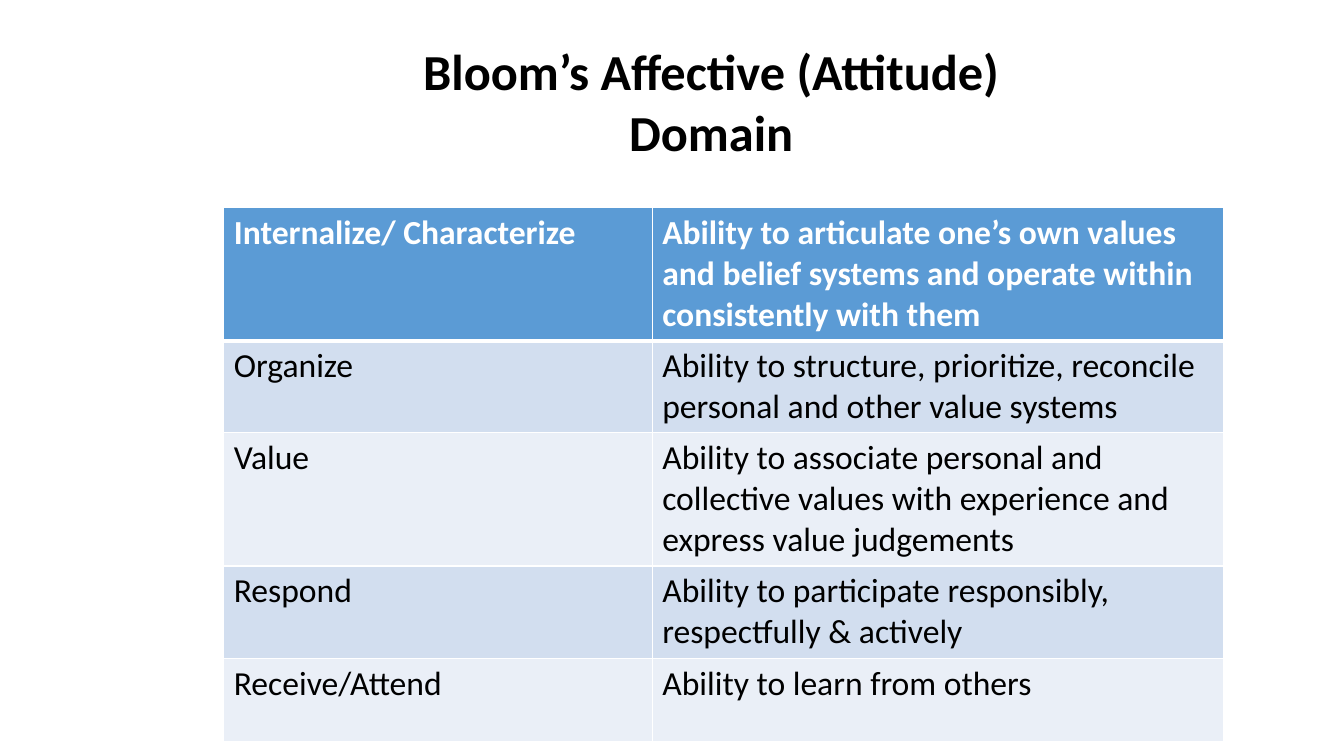
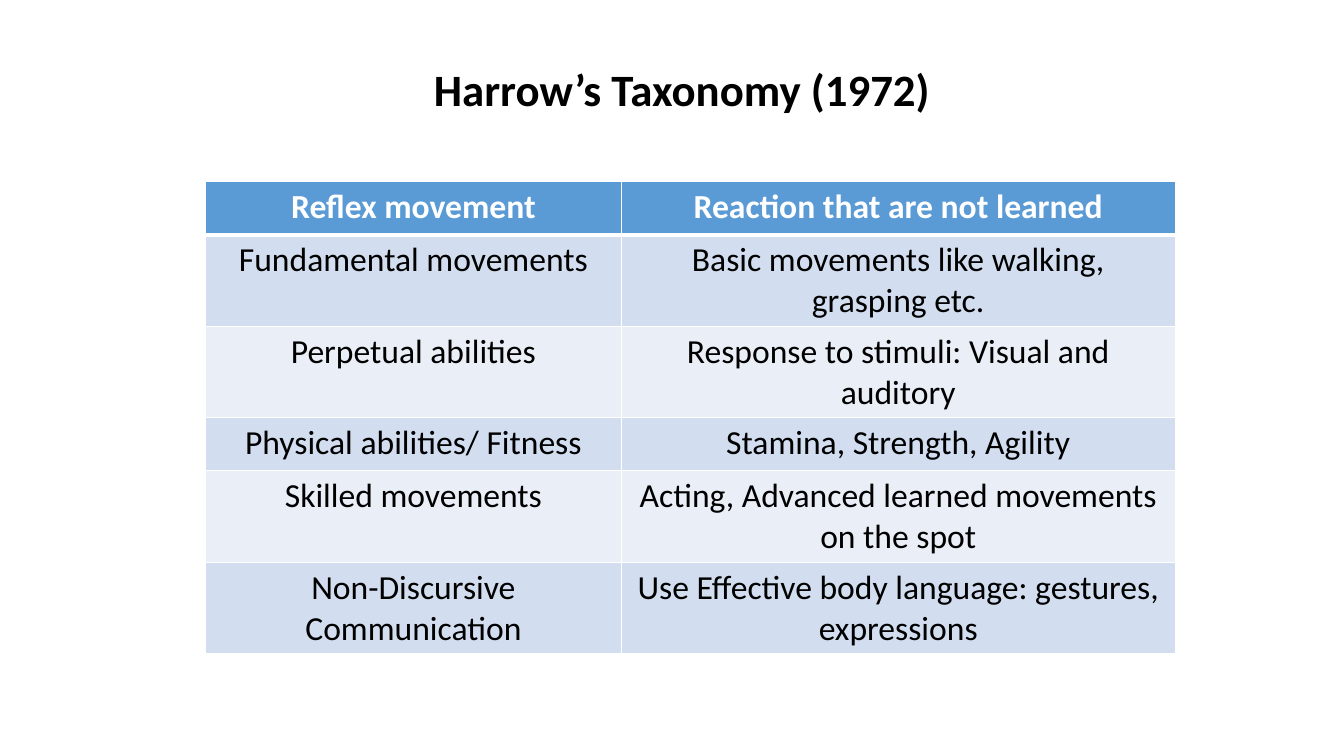
from lxml import etree
from pptx import Presentation, util as u
from pptx.dml.color import RGBColor
from pptx.enum import text
from pptx.oxml import ns

BLACK = RGBColor(0x00, 0x00, 0x00)
WHITE = RGBColor(0xFF, 0xFF, 0xFF)
HEADER_BLUE = RGBColor(0x5B, 0x9B, 0xD5)
BANDS = (RGBColor(0xEA, 0xEF, 0xF7), RGBColor(0xD2, 0xDE, 0xEF))
FONT = "Calibri"
TABLE_SIZE = 24
THIN, THICK = 1, 3
COLUMN_PARTS = (3, 4)
ONE_LINE, TWO_LINES = 7.07, 12.13  # row heights, percent of the slide's height

LEFT, CENTER = text.PP_ALIGN.LEFT, text.PP_ALIGN.CENTER

AFFECTIVE_DOMAIN = [
    ("Internalize/ Characterize",
     "Ability to articulate one’s own values and belief systems "
     "and operate within consistently with them"),
    ("Organize",
     "Ability to structure, prioritize, reconcile personal and other value systems"),
    ("Value",
     "Ability to associate personal and collective values with experience "
     "and express value judgements"),
    ("Respond", "Ability to participate responsibly, respectfully & actively"),
    ("Receive/Attend", "Ability to learn from others"),
]

HARROW_TAXONOMY = [
    ("Reflex movement", "Reaction that are not learned"),
    ("Fundamental movements", "Basic movements like walking, grasping etc."),
    ("Perpetual abilities", "Response to stimuli: Visual and auditory"),
    ("Physical abilities/ Fitness", "Stamina, Strength, Agility"),
    ("Skilled movements", "Acting, Advanced learned movements on the spot"),
    ("Non-Discursive Communication",
     "Use Effective body language: gestures, expressions"),
]


class Deck:
    """Holds the style and the current slide; lengths are percent of the slide."""

    def __init__(self):
        self.presentation = Presentation()
        self.presentation.slide_width = u.Inches(13.33)
        self.presentation.slide_height = u.Inches(7.5)
        self.slide = None

    def across(self, percent):
        return round(self.presentation.slide_width * percent / 100)

    def down(self, percent):
        return round(self.presentation.slide_height * percent / 100)

    def new_slide(self):
        self.slide = self.presentation.slides.add_slide(
            self.presentation.slide_layouts[6])

    def add_words(self, frame, words, size, color, bold, align):
        paragraph = frame.paragraphs[0]
        paragraph.alignment = align
        run = paragraph.add_run()
        run.text = words
        run.font.name = FONT
        run.font.size = u.Pt(size)
        run.font.bold = bold
        run.font.color.rgb = color

    def title(self, words, size, left, top, width, height):
        shape = self.slide.shapes.add_textbox(
            self.across(left), self.down(top), self.across(width), self.down(height))
        frame = shape.text_frame
        frame.word_wrap = True
        frame.auto_size = text.MSO_AUTO_SIZE.SHAPE_TO_FIT_TEXT
        self.add_words(frame, words, size, BLACK, True, CENTER)

    def borders(self, cell, top, bottom):
        """Draw white cell borders; top and bottom are widths in points."""
        properties = cell._tc.get_or_add_tcPr()
        widths = {"a:lnL": THIN, "a:lnR": THIN, "a:lnT": top, "a:lnB": bottom}
        for tag, width in widths.items():
            line = etree.SubElement(properties, ns.qn(tag), w=str(int(u.Pt(width))))
            fill = etree.SubElement(line, ns.qn("a:solidFill"))
            etree.SubElement(fill, ns.qn("a:srgbClr"), val=str(WHITE))

    def table(self, rows, heights, left, top, width, align):
        """Add a two-column table whose first row is the header."""
        table = self.slide.shapes.add_table(
            len(rows), len(COLUMN_PARTS), self.across(left), self.down(top),
            self.across(width), self.down(sum(heights))).table
        for column, part in zip(table.columns, COLUMN_PARTS):
            column.width = self.across(width * part / sum(COLUMN_PARTS))
        for index, (words, height) in enumerate(zip(rows, heights)):
            table.rows[index].height = self.down(height)
            header = index == 0
            for cell, entry in zip(table.rows[index].cells, words):
                self.borders(cell, THICK if index == 1 else THIN,
                             THICK if header else THIN)
                cell.fill.solid()
                cell.fill.fore_color.rgb = HEADER_BLUE if header else BANDS[index % 2]
                self.add_words(cell.text_frame, entry, TABLE_SIZE,
                               WHITE if header else BLACK, header, align)


def main():
    deck = Deck()

    deck.new_slide()
    deck.table(AFFECTIVE_DOMAIN, (15.6, 10.8, 10.8, 11.07, 11.07),
               left=16.65, top=27.47, width=74.4, align=LEFT)
    deck.title("Bloom’s Affective (Attitude) Domain", 36,
               left=24.53, top=4.67, width=56.78, height=17.47)

    deck.new_slide()
    deck.title("Harrow’s Taxonomy (1972)", 32,
               left=30.38, top=7.47, width=40.73, height=8.53)
    deck.table(HARROW_TAXONOMY,
               (ONE_LINE, TWO_LINES, ONE_LINE, ONE_LINE, TWO_LINES, TWO_LINES),
               left=15.3, top=24, width=72.15, align=CENTER)

    deck.presentation.save("out.pptx")


if __name__ == "__main__":
    main()
